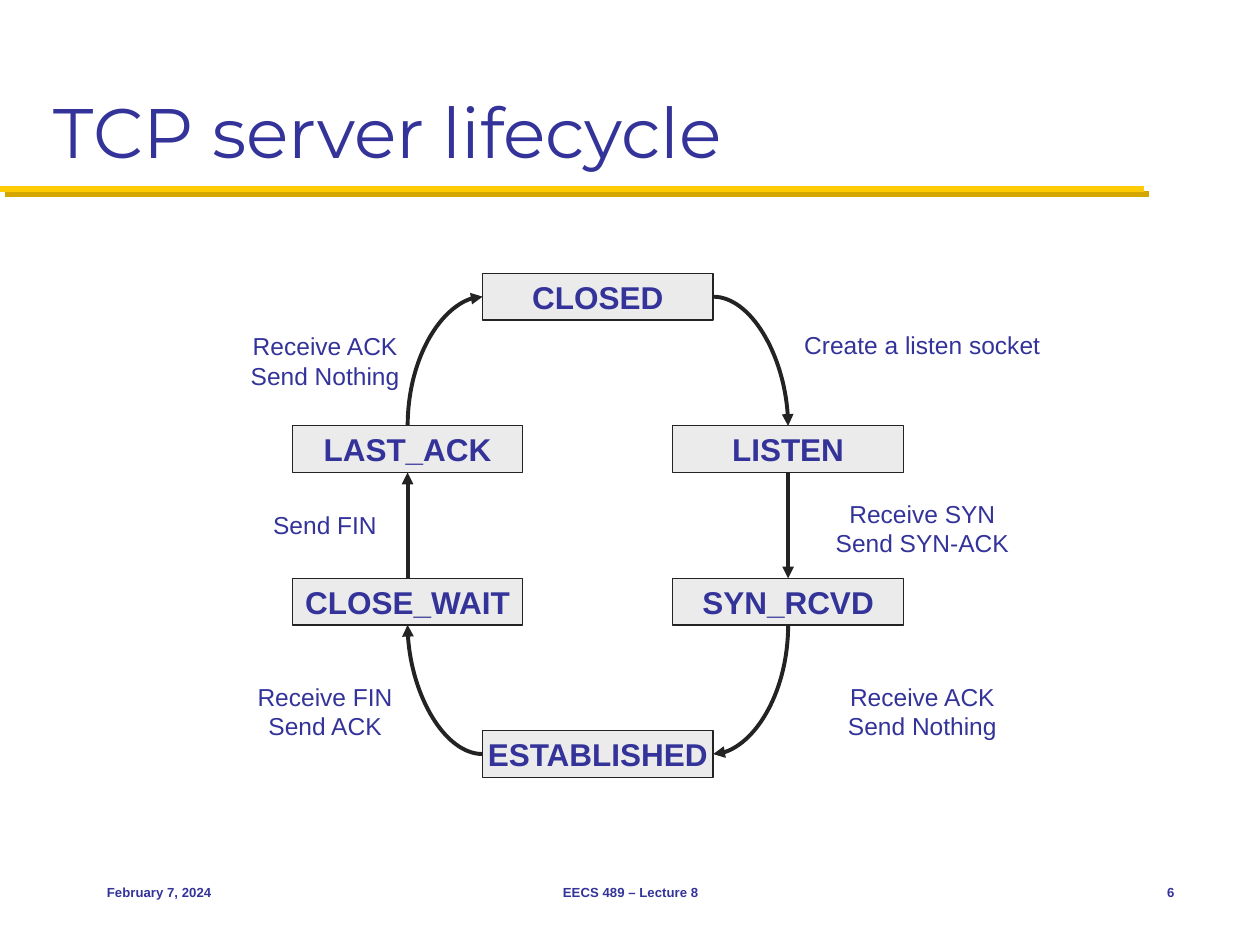
from lxml import etree
from pptx import Presentation
from pptx import util as u
from pptx.dml.color import RGBColor
from pptx.enum import shapes, text
from pptx.oxml import ns, parse_xml

INDIGO = RGBColor(0x33, 0x33, 0x99)
GOLD = RGBColor(0xFF, 0xCB, 0x05)
INK = RGBColor(0x23, 0x23, 0x23)
PALE_GREY = RGBColor(0xEB, 0xEB, 0xEB)

TOP, LEFT, BOTTOM, RIGHT = range(4)  # connection sites of a rectangle
COLUMN_LEFT, COLUMN_STEP = 2.32, 1.51
ROW_TOP, ROW_STEP = 2.17, 1.21
STATE_WIDTH, STATE_HEIGHT = 1.83, 0.37
LABEL_CENTRES = {"left": 2.58, "right": 7.32}

prs = Presentation()
prs.slide_width, prs.slide_height = u.Inches(10), u.Inches(7.5)
slide = prs.slides.add_slide(prs.slide_layouts[6])


def write(shape, lines, size, align, anchor, bold=False, font="Arial", wrap=False):
    frame = shape.text_frame
    frame.word_wrap = wrap
    frame.vertical_anchor = anchor
    frame.text = "\n".join(lines)
    for paragraph in frame.paragraphs:
        paragraph.alignment = align
        paragraph.font.name = font
        paragraph.font.size = u.Pt(size)
        paragraph.font.bold = bold
        paragraph.font.color.rgb = INDIGO


def draw_line(kind, start, end, colour, weight):
    line = slide.shapes.add_connector(kind, *(u.Inches(v) for v in start + end))
    line.line.color.rgb = colour
    line.line.width = u.Pt(weight)
    etree.SubElement(line._element.spPr, ns.qn("a:effectLst"))
    return line


# Title and its underline
rule = draw_line(shapes.MSO_CONNECTOR.STRAIGHT, (0, 1.5), (9.08, 1.5), GOLD, 3.5)
rule._element.spPr.find(ns.qn("a:effectLst")).append(parse_xml(
    f'<a:outerShdw {ns.nsdecls("a")} dist="{u.Pt(4.2)}" dir="2700000" algn="ctr" '
    'rotWithShape="0"><a:srgbClr val="D3A600"/></a:outerShdw>'))
title = slide.shapes.add_textbox(*(u.Inches(v) for v in (0.33, 0.17, 9.33, 1.25)))
write(title, ["TCP server lifecycle"], 40, text.PP_ALIGN.LEFT,
      text.MSO_ANCHOR.BOTTOM, font="Montserrat", wrap=True)

# Footer
for left, width, words, align in (
    (0.75, 2.08, "February 7, 2024", text.PP_ALIGN.LEFT),
    (3.42, 3.17, "EECS 489 – Lecture 8", text.PP_ALIGN.CENTER),
    (8.75, 0.67, "6", text.PP_ALIGN.RIGHT),
):
    footer = slide.shapes.add_textbox(*(u.Inches(v) for v in (left, 6.83, width, 0.5)))
    write(footer, [words], 7.5, align, text.MSO_ANCHOR.MIDDLE, bold=True)

# States, on a grid of three columns and four rows
states = {}
for name, column, row in (
    ("CLOSED", 1, 0),
    ("LISTEN", 2, 1),
    ("SYN_RCVD", 2, 2),
    ("ESTABLISHED", 1, 3),
    ("CLOSE_WAIT", 0, 2),
    ("LAST_ACK", 0, 1),
):
    state = slide.shapes.add_shape(
        shapes.MSO_SHAPE.RECTANGLE,
        u.Inches(COLUMN_LEFT + column * COLUMN_STEP),
        u.Inches(ROW_TOP + row * ROW_STEP),
        u.Inches(STATE_WIDTH), u.Inches(STATE_HEIGHT))
    state.shadow.inherit = False
    state.fill.solid()
    state.fill.fore_color.rgb = PALE_GREY
    state.line.color.rgb = INK
    state.line.width = u.Pt(0.75)
    write(state, [name], 18, text.PP_ALIGN.CENTER, text.MSO_ANCHOR.MIDDLE, bold=True)
    states[name] = state

# Transitions, clockwise
for source, source_side, target, target_side in (
    ("CLOSED", RIGHT, "LISTEN", TOP),
    ("LISTEN", BOTTOM, "SYN_RCVD", TOP),
    ("SYN_RCVD", BOTTOM, "ESTABLISHED", RIGHT),
    ("ESTABLISHED", LEFT, "CLOSE_WAIT", BOTTOM),
    ("CLOSE_WAIT", TOP, "LAST_ACK", BOTTOM),
    ("LAST_ACK", TOP, "CLOSED", LEFT),
):
    leaves_upright = source_side in (TOP, BOTTOM)
    curved = leaves_upright != (target_side in (TOP, BOTTOM))
    kind = shapes.MSO_CONNECTOR.CURVE if curved else shapes.MSO_CONNECTOR.STRAIGHT
    arrow = draw_line(kind, (0, 0), (1, 1), INK, 2.25)
    arrow.begin_connect(states[source], source_side)
    arrow.end_connect(states[target], target_side)
    etree.SubElement(arrow.line._get_or_add_ln(), ns.qn("a:tailEnd"), type="triangle")
    if curved:
        properties = arrow._element.spPr
        properties.find(ns.qn("a:prstGeom")).set("prst", "curvedConnector2")
        if leaves_upright:
            # The preset leaves sideways, so turn it a quarter about its centre
            across, down = arrow.end_x - arrow.begin_x, arrow.end_y - arrow.begin_y
            shift = (arrow.width - arrow.height) // 2
            arrow.left, arrow.top = arrow.left + shift, arrow.top - shift
            arrow.width, arrow.height = arrow.height, arrow.width
            frame = properties.xfrm
            frame.rot = 90
            frame.flipH, frame.flipV = down < 0, across > 0

# Events and replies beside the transitions
for side, top, width, lines in (
    ("right", 2.57, 2.08, ["Create a listen socket"]),
    ("right", 3.91, 1.59, ["Receive SYN", "Send SYN-ACK"]),
    ("right", 5.36, 1.39, ["Receive ACK", "Send Nothing"]),
    ("left", 5.36, 1.28, ["Receive FIN", "Send ACK"]),
    ("left", 4, 1.03, ["Send FIN"]),
    ("left", 2.58, 1.39, ["Receive ACK", "Send Nothing"]),
):
    label = slide.shapes.add_textbox(
        u.Inches(LABEL_CENTRES[side] - width / 2), u.Inches(top),
        u.Inches(width), u.Inches(0.1 + 0.24 * len(lines)))
    write(label, lines, 14, text.PP_ALIGN.CENTER, text.MSO_ANCHOR.TOP)

prs.save("out.pptx")
